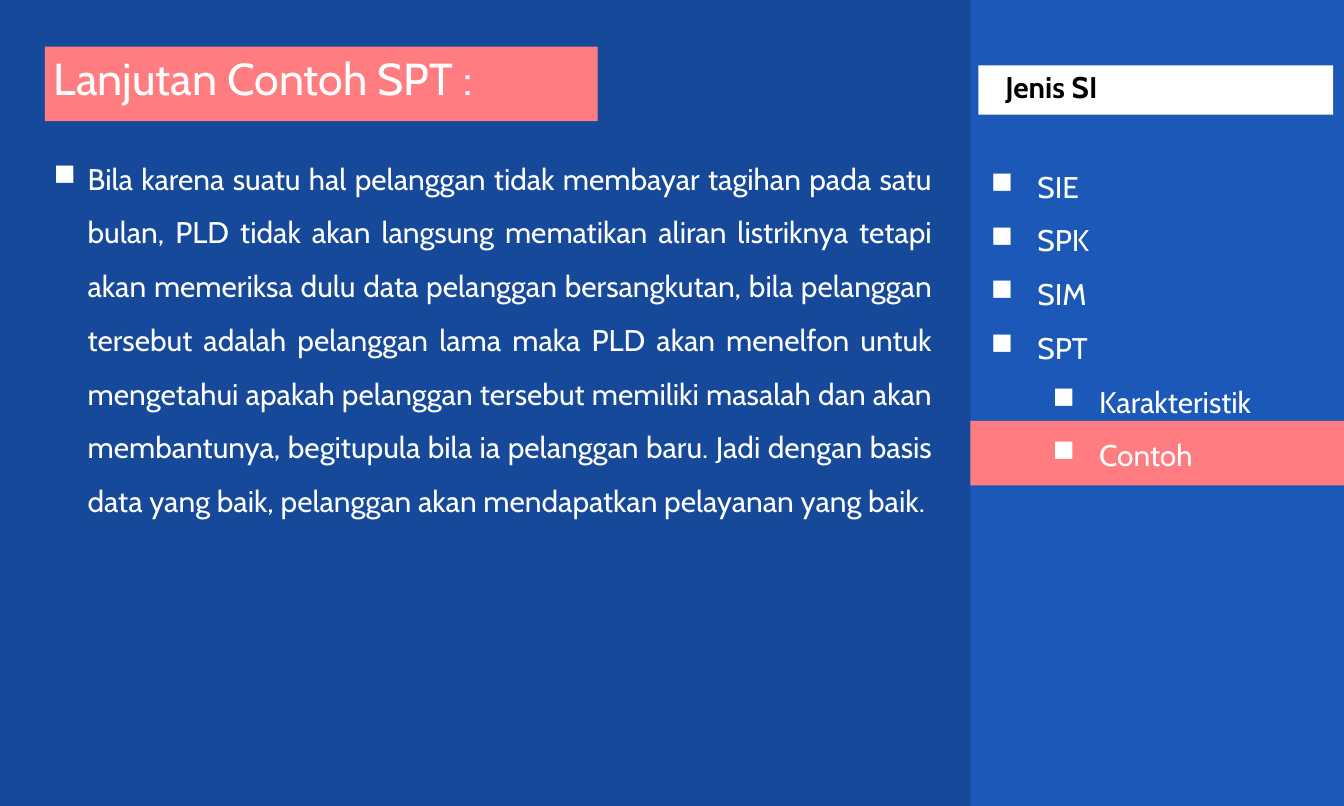
"""Build the slide on the SPT example with its topic sidebar."""
from lxml import etree
from pptx import Presentation
from pptx.dml.color import RGBColor
from pptx.enum.shapes import MSO_SHAPE
from pptx.enum.text import MSO_ANCHOR, MSO_AUTO_SIZE, PP_ALIGN
from pptx.oxml.ns import qn
from pptx.util import Inches, Pt

RECT = MSO_SHAPE.RECTANGLE
TOP, MIDDLE = MSO_ANCHOR.TOP, MSO_ANCHOR.MIDDLE
GROW = MSO_AUTO_SIZE.SHAPE_TO_FIT_TEXT
LEFT, JUSTIFY = PP_ALIGN.LEFT, PP_ALIGN.JUSTIFY
NAVY, BLUE, PINK = "16499A", "1B58B8", "FF7C80"
WHITE, BLACK = "FFFFFF", "000000"
STORY = (
    "Bila karena suatu hal pelanggan tidak membayar tagihan pada satu bulan, "
    "PLD tidak akan langsung mematikan aliran listriknya tetapi akan memeriksa "
    "dulu data pelanggan bersangkutan, bila pelanggan tersebut adalah pelanggan "
    "lama maka PLD akan menelfon untuk mengetahui apakah pelanggan tersebut "
    "memiliki masalah dan akan membantunya, begitupula bila ia pelanggan baru. "
    "Jadi dengan basis data yang baik, pelanggan akan mendapatkan pelayanan "
    "yang baik."
)
TOPICS = [("SIE", 0), ("SPK", 0), ("SIM", 0), ("SPT", 0),
          ("Karakteristik", 1), ("Contoh", 1)]


def paint(fill, color):
    fill.solid()
    fill.fore_color.rgb = RGBColor.from_string(color)


def write(para, text, size=24, color=WHITE, bold=False, indent=None):
    if indent:
        props = para._p.get_or_add_pPr()
        props.set("marL", str(Inches(indent[0])))
        props.set("indent", str(Inches(-indent[1])))
        tint = etree.SubElement(props, qn("a:buClr"))
        etree.SubElement(tint, qn("a:srgbClr"), val=WHITE)
        etree.SubElement(props, qn("a:buChar"), char="■")
    run = para.add_run()
    run.text = text
    run.font.name = "Cabin"
    run.font.size = Pt(size)
    run.font.bold = bold
    paint(run.font.fill, color)


deck = Presentation()
deck.slide_width, deck.slide_height = Inches(15), Inches(9)
slide = deck.slides.add_slide(deck.slide_layouts[5])
paint(slide.background.fill, NAVY)

title = slide.shapes.title
title.left, title.top = Inches(0.5), Inches(0.52)
title.width, title.height = Inches(6.17), Inches(0.71)
paint(title.fill, PINK)
frame = title.text_frame
frame.auto_size = GROW
frame.vertical_anchor = TOP
para = frame.paragraphs[0]
para.alignment = JUSTIFY
write(para, "Lanjutan Contoh SPT :", size=36)

panels = []
for left, top, width, height, color in [
    (10.83, 0, 4.17, 9, BLUE),
    (10.92, 0.73, 3.96, 0.55, WHITE),
    (10.83, 4.7, 4.17, 0.72, PINK),
]:
    panel = slide.shapes.add_shape(
        RECT, Inches(left), Inches(top), Inches(width), Inches(height))
    panel.shadow.inherit = False
    paint(panel.fill, color)
    panel.line.fill.background()
    panels.append(panel)

frame = panels[1].text_frame
frame.margin_left = Inches(0.3)
frame.margin_top = frame.margin_right = frame.margin_bottom = 0
frame.vertical_anchor = MIDDLE
para = frame.paragraphs[0]
para.alignment = LEFT
para.line_spacing = 0.8
write(para, "Jenis SI", color=BLACK, bold=True)

story = slide.shapes.add_textbox(
    Inches(0.5), Inches(1.54), Inches(10), Inches(4.87))
frame = story.text_frame
frame.word_wrap = True
frame.auto_size = GROW
para = frame.paragraphs[0]
para.alignment = JUSTIFY
para.line_spacing = 1.5
write(para, STORY, indent=(0.38, 0.38))

menu = slide.shapes.add_textbox(
    Inches(10.66), Inches(1.83), Inches(4.01), Inches(3.51))
frame = menu.text_frame
frame.word_wrap = True
frame.auto_size = GROW
for row, (topic, level) in enumerate(TOPICS):
    para = frame.add_paragraph() if row else frame.paragraphs[0]
    para.level = level
    if row:
        para.space_before = Pt(14.4)
    write(para, topic, indent=(0.82 + 0.69 * level, 0.52))

deck.save("out.pptx")
